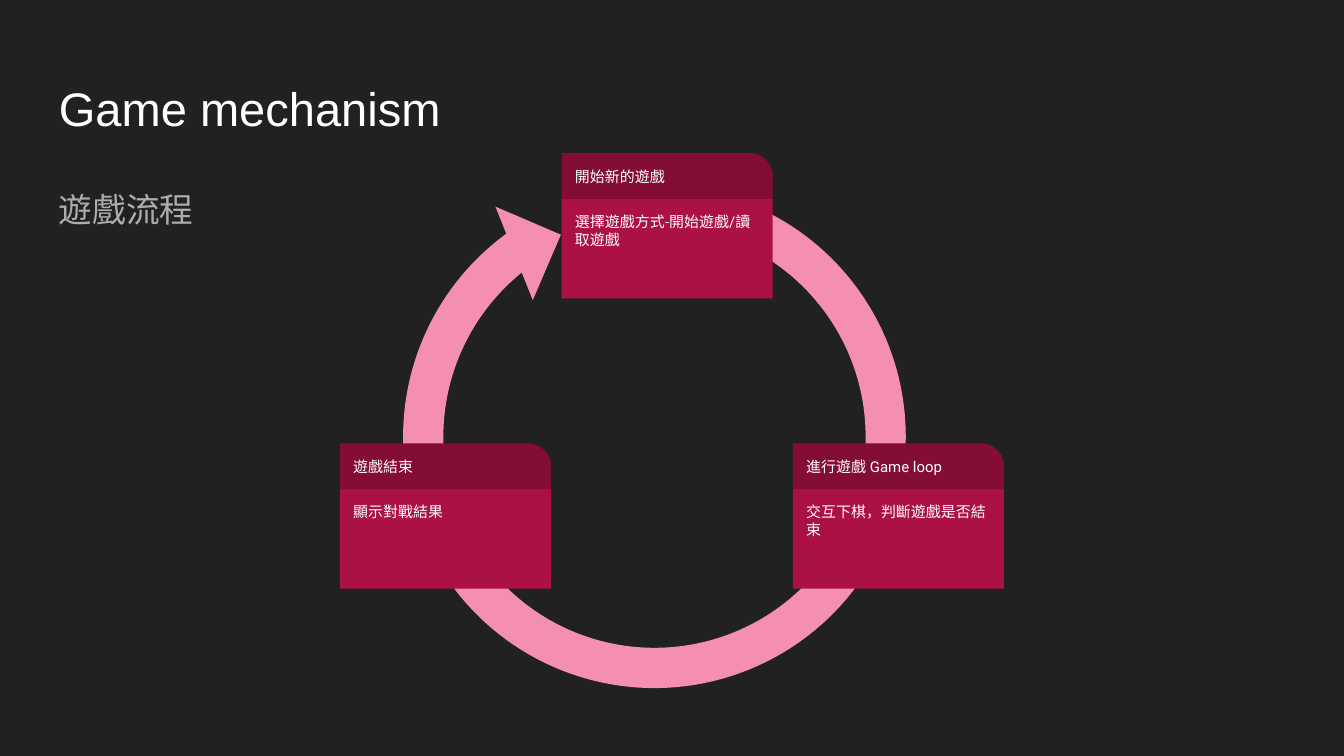
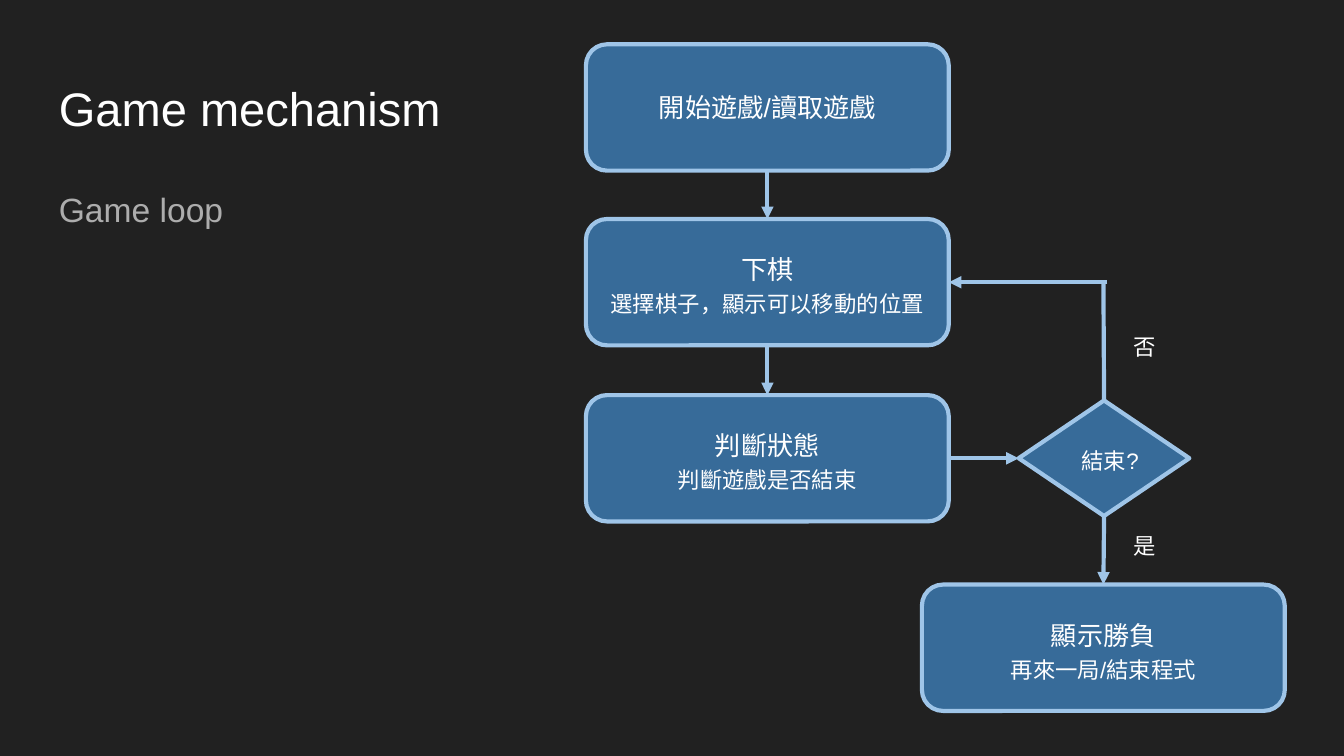
from dataclasses import dataclass

from lxml import etree
from pptx import Presentation
from pptx.dml.color import RGBColor
from pptx.enum.shapes import MSO_CONNECTOR, MSO_SHAPE
from pptx.enum.text import MSO_ANCHOR, MSO_AUTO_SIZE, PP_ALIGN
from pptx.oxml.ns import qn
from pptx.util import Inches, Pt

RECT = MSO_SHAPE.RECTANGLE
TAB = MSO_SHAPE.ROUND_1_RECTANGLE
ROUND = MSO_SHAPE.ROUNDED_RECTANGLE
DIAMOND = MSO_SHAPE.DIAMOND
ARC = MSO_SHAPE.BLOCK_ARC
WEDGE = MSO_SHAPE.RIGHT_TRIANGLE
STRAIGHT = MSO_CONNECTOR.STRAIGHT
TOP, MIDDLE = MSO_ANCHOR.TOP, MSO_ANCHOR.MIDDLE
LEFT, CENTER = PP_ALIGN.LEFT, PP_ALIGN.CENTER
GROW = MSO_AUTO_SIZE.SHAPE_TO_FIT_TEXT
# Connection sites of a rectangle
NORTH, WEST, SOUTH, EAST = range(4)


@dataclass(frozen=True)
class Theme:
    back: str = "212121"
    white: str = "FFFFFF"
    gray: str = "ADADAD"
    pink: str = "F48FB0"
    red: str = "AC1145"
    wine: str = "840D35"
    blue: str = "376B99"
    sky: str = "9FC5E8"
    font: str = "Arial"
    card: str = "Roboto"
    title: float = 25.2
    sub: float = 18
    step: float = 14
    note: float = 12
    small: float = 8
    line: float = 2.25


def color(code):
    return RGBColor.from_string(code)


def write(shape, *lines, sizes, font, ink, align=LEFT, anchor=TOP,
          space=None, after=None, side=0.1):
    """Fill a shape with one paragraph per line, each with its own size."""
    frame = shape.text_frame
    frame.word_wrap = True
    frame.vertical_anchor = anchor
    frame.margin_left = frame.margin_right = Inches(side)
    frame.margin_top = frame.margin_bottom = Inches(0.1)
    for i, (line, size) in enumerate(zip(lines, sizes)):
        para = frame.add_paragraph() if i else frame.paragraphs[0]
        para.alignment = align
        if space:
            para.line_spacing = space
        if after:
            para.space_after = Pt(after)
        run = para.add_run()
        run.text = line
        run.font.size = Pt(size)
        run.font.name = font
        run.font.color.rgb = color(ink)
        # Chinese text takes the same face
        face = etree.SubElement(run.font._element, qn("a:ea"))
        face.set("typeface", font)


class Deck:
    def __init__(self, theme):
        self.theme = theme
        self.file = Presentation()
        self.file.slide_width = Inches(10)
        self.file.slide_height = Inches(10) * 9 // 16
        self.slide = None

    def page(self, title, sub):
        t = self.theme
        self.slide = self.file.slides.add_slide(self.file.slide_layouts[6])
        fill = self.slide.background.fill
        fill.solid()
        fill.fore_color.rgb = color(t.back)
        self.text(title, 0.34, 0.49, 9.32, 0.63, sizes=[t.title], ink=t.white)
        self.text(sub, 0.34, 1.26, 4.9, 3.74, sizes=[t.sub], ink=t.gray,
                  space=1.15, after=12)

    def text(self, words, x, y, w, h, **style):
        box = self.slide.shapes.add_textbox(
            Inches(x), Inches(y), Inches(w), Inches(h))
        write(box, words, font=self.theme.font, **style)
        return box

    def shape(self, kind, x, y, w, h, fill, line=None, adjust=(), turn=0):
        item = self.slide.shapes.add_shape(
            kind, Inches(x), Inches(y), Inches(w), Inches(h))
        item.shadow.inherit = False
        item.fill.solid()
        item.fill.fore_color.rgb = color(fill)
        if line:
            item.line.color.rgb = color(line)
            item.line.width = Pt(self.theme.line)
        else:
            item.line.fill.background()
        for i, value in enumerate(adjust):
            item.adjustments[i] = value
        item.rotation = turn
        return item

    def card(self, x, y, head, body):
        t = self.theme
        style = dict(sizes=[t.small], font=t.card, ink=t.white)
        panel = self.shape(RECT, x, y + 0.34, 1.57, 0.74, t.red)
        write(panel, body, **style)
        tab = self.shape(TAB, x, y, 1.57, 0.34, t.wine, adjust=[0.5])
        write(tab, head, anchor=MIDDLE, **style)

    def node(self, kind, x, y, w, h, *lines, space=1.2, **style):
        t = self.theme
        item = self.shape(kind, x, y, w, h, t.blue, t.sky)
        write(item, *lines, font=t.font, ink=t.white, align=CENTER,
              anchor=MIDDLE, space=space, **style)
        return item

    def step(self, x, y, *lines, space=1.2):
        t = self.theme
        return self.node(ROUND, x, y, 2.7, 0.94, *lines,
                         sizes=[t.step, t.note], space=space)

    def label(self, words, x, y):
        t = self.theme
        box = self.text(words, x, y, 0.4, 0.4, sizes=[t.note], ink=t.white,
                        align=CENTER, space=1.2)
        box.text_frame.auto_size = GROW

    def link(self, start, end, arrow=True):
        """Each end is a point (x, y) or a pair (shape, site)."""
        wire = self.slide.shapes.add_connector(STRAIGHT, 0, 0, 0, 0)
        if isinstance(start[0], float):
            wire.begin_x, wire.begin_y = map(Inches, start)
        else:
            wire.begin_connect(*start)
        if isinstance(end[0], float):
            wire.end_x, wire.end_y = map(Inches, end)
        else:
            wire.end_connect(*end)
        wire.line.color.rgb = color(self.theme.sky)
        wire.line.width = Pt(self.theme.line)
        if arrow:
            tip = etree.SubElement(wire.line._get_or_add_ln(), qn("a:tailEnd"))
            tip.set("type", "triangle")
        etree.SubElement(wire._element.spPr, qn("a:effectLst"))


def cycle(deck):
    pink = deck.theme.pink
    deck.page("Game mechanism", "遊戲流程")
    # Ring with its arrowhead
    deck.shape(WEDGE, 3.56, 1.62, 0.53, 0.53, pink, turn=203.2)
    # Block arc angles are in 60000ths of a degree, scaled by 100000
    start, end = (angle * 0.6 for angle in (287.87, 236.9))
    deck.shape(ARC, 3, 1.38, 3.74, 3.74, pink, adjust=[start, end, 0.08])
    # Stages
    deck.card(5.9, 3.3, "進行遊戲 Game loop", "交互下棋，判斷遊戲是否結束")
    deck.card(4.18, 1.14, "開始新的遊戲", "選擇遊戲方式-開始遊戲/讀取遊戲")
    deck.card(2.53, 3.3, "遊戲結束", "顯示對戰結果")


def flow(deck):
    deck.page("Game mechanism", "Game loop")
    # Steps
    begin = deck.step(4.36, 0.33, "開始遊戲/讀取遊戲", space=None)
    move = deck.step(4.36, 1.63, "下棋", "選擇棋子，顯示可以移動的位置")
    check = deck.step(4.36, 2.94, "判斷狀態", "判斷遊戲是否結束")
    over = deck.node(DIAMOND, 7.58, 2.98, 1.27, 0.86, "結束?",
                     sizes=[deck.theme.note], side=0.12)
    result = deck.step(6.86, 4.35, "顯示勝負", "再來一局/結束程式")
    # Links
    deck.link((begin, SOUTH), (move, NORTH))
    deck.link((move, SOUTH), (check, NORTH))
    deck.link((check, EAST), (over, WEST))
    deck.link((over, SOUTH), (result, NORTH))
    deck.link((over, NORTH), (8.21, 2.1), arrow=False)
    deck.link((8.24, 2.1), (move, EAST))
    # Answers
    deck.label("是", 8.32, 3.82)
    deck.label("否", 8.32, 2.34)


def main():
    deck = Deck(Theme())
    cycle(deck)
    flow(deck)
    deck.file.save("out.pptx")


if __name__ == "__main__":
    main()
